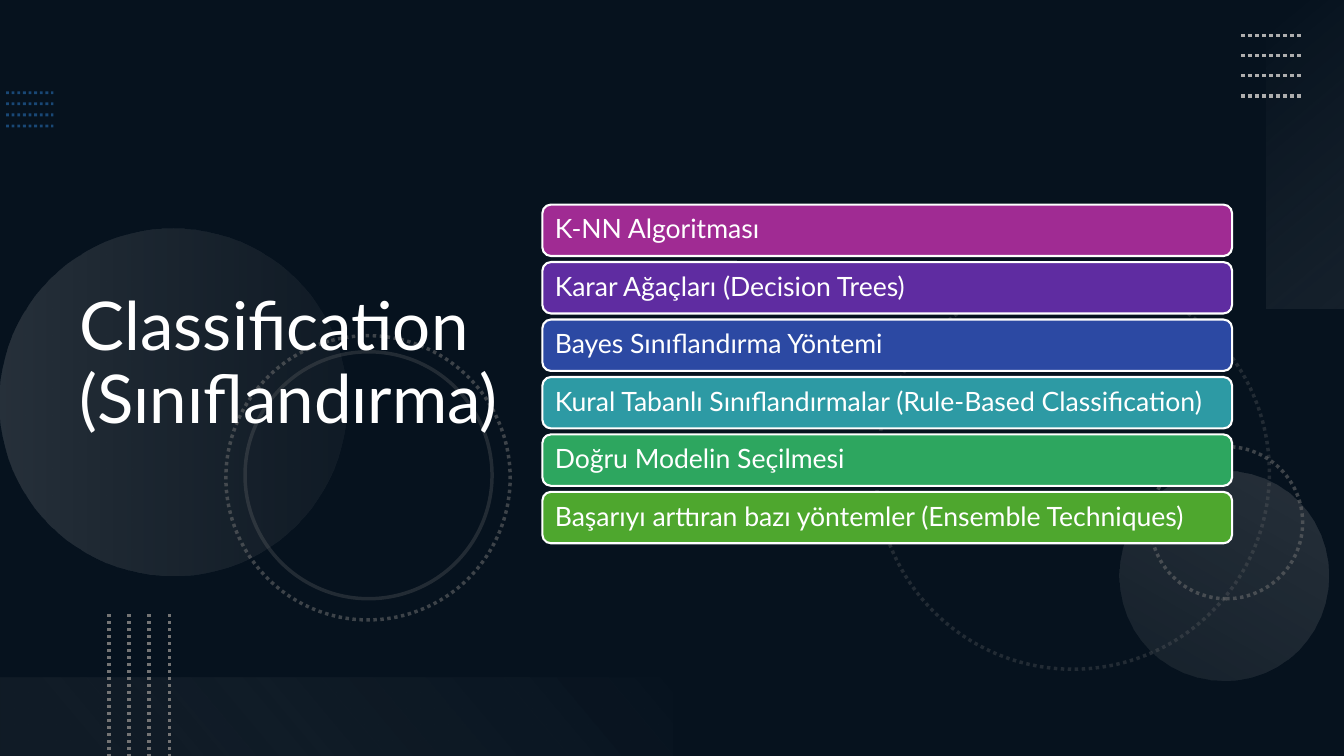
import pptx
import pptx.util
import pptx.oxml
import pptx.oxml.ns
import pptx.dml.color
import pptx.enum.dml
import pptx.enum.shapes
import pptx.enum.text
from pptx.util import Inches, Pt

# Content
TITLE = "Classification (Sınıflandırma)"
TOPICS = [
    ("K-NN Algoritması", "magenta"),
    ("Karar Ağaçları (Decision Trees)", "purple"),
    ("Bayes Sınıflandırma Yöntemi", "blue"),
    ("Kural Tabanlı Sınıflandırmalar (Rule-Based Classification)", "teal"),
    ("Doğru Modelin Seçilmesi", "green"),
    ("Başarıyı arttıran bazı yöntemler (Ensemble Techniques)", "lime"),
]
FONT = "Lato"
COLORS = {
    "navy": "0E2841", "black": "000000", "white": "FFFFFF", "dots": "2D7FCF",
    "gray": "747474", "silver": "AEAEAE", "mist": "F6F6F6", "pale": "F1F1F1",
    "magenta": "A02B93", "purple": "5F2CA1", "blue": "2C49A3",
    "teal": "2D9AA4", "green": "2DA65F", "lime": "4EA72E",
}

# Dotted line sets: first start, run, step, count, colour, width, opacity
DOT_SETS = [
    ((0.06, 0.92), (0.47, 0), (0, 0.11), 4, "dots", 2, 50),
    ((12.31, 0.35), (0.6, 0), (0, 0.2), 4, "silver", 2.5, 100),
    ((1.08, 6.09), (0, 1.41), (0.2, 0), 4, "gray", 2.5, 100),
]
# Rings: left, top, diameter, rotation, dotted, opacity
RINGS = [
    (8.69, 2.74, 3.9, 75, True, 25),
    (11.41, 4.43, 1.51, 270, True, 50),
    (2.24, 3.33, 2.82, 75, True, 50),
    (2.43, 3.49, 2.45, 75, False, 25),
]
# Gradient parts: preset, box, rotation, stops (position, colour, opacity), angle
GLOWS = [
    ("OVAL", (0, 2.27, 3.44, 3.44), 270, [(0, "silver", 20), (100, "gray", 10)], 90),
    ("OVAL", (11.1, 4.67, 2.08, 2.08), 210, [(0, "silver", 10), (100, "silver", 20)], 90),
    ("RECTANGLE", (11.42, 1.14, 3.06, 0.78), 270, [(0, "mist", 0), (100, "silver", 10)], 140),
    ("RECTANGLE", (0, 6.72, 6.67, 0.78), 180, [(10, "gray", 10), (100, "pale", 0)], 140),
]


def rgb(name):
    return pptx.dml.color.RGBColor.from_string(COLORS[name])


def set_opacity(shape, percent):
    if percent < 100:
        for clr in shape.element.spPr.iter(pptx.oxml.ns.qn("a:srgbClr")):
            alpha = clr.makeelement(pptx.oxml.ns.qn("a:alpha"), {"val": str(percent * 1000)})
            clr.append(alpha)


def add_preset(s, preset, box, rotation=0):
    kind = getattr(pptx.enum.shapes.MSO_SHAPE, preset)
    shape = s.shapes.add_shape(kind, *[Inches(v) for v in box])
    shape.shadow.inherit = False
    shape.rotation = rotation
    shape.line.fill.background()
    return shape


def style_line(line, color, width, dotted=False):
    line.color.rgb = rgb(color)
    line.width = Pt(width)
    if dotted:
        # ROUND_DOT is the sysDot dash
        line.dash_style = pptx.enum.dml.MSO_LINE.ROUND_DOT


def add_glow(s, preset, box, rotation, stops, angle):
    shape = add_preset(s, preset, box, rotation)
    shape.fill.background()
    stop_xml = "".join(
        f'<a:gs pos="{pos * 1000}"><a:srgbClr val="{COLORS[color]}">'
        f'<a:alpha val="{opacity * 1000}"/></a:srgbClr></a:gs>'
        for pos, color, opacity in stops)
    grad = pptx.oxml.parse_xml(
        f'<a:gradFill rotWithShape="1" {pptx.oxml.ns.nsdecls("a")}>'
        f'<a:gsLst>{stop_xml}</a:gsLst><a:lin ang="{angle * 60000}" scaled="0"/></a:gradFill>')
    sp_pr = shape.element.spPr
    sp_pr.replace(sp_pr.find(pptx.oxml.ns.qn("a:noFill")), grad)


def add_ring(s, left, top, size, rotation, dotted, opacity):
    ring = add_preset(s, "OVAL", (left, top, size, size), rotation)
    ring.fill.background()
    style_line(ring.line, "gray", 2.5, dotted)
    set_opacity(ring, opacity)


def add_dot_set(s, start, run, step, count, color, width, opacity):
    for i in range(count):
        x, y = start[0] + i * step[0], start[1] + i * step[1]
        row = s.shapes.add_connector(
            pptx.enum.shapes.MSO_CONNECTOR.STRAIGHT,
            Inches(x), Inches(y), Inches(x + run[0]), Inches(y + run[1]))
        style_line(row.line, color, width, True)
        set_opacity(row, opacity)
        row.element.spPr.append(
            pptx.oxml.parse_xml(f'<a:effectLst {pptx.oxml.ns.nsdecls("a")}/>'))


def set_text(shape, text, size):
    tf = shape.text_frame
    tf.text = text
    tf.word_wrap = True
    tf.auto_size = pptx.enum.text.MSO_AUTO_SIZE.NONE
    tf.vertical_anchor = pptx.enum.text.MSO_ANCHOR.MIDDLE
    p = tf.paragraphs[0]
    p.alignment = pptx.enum.text.PP_ALIGN.LEFT
    p.line_spacing = 0.9
    r = p.runs[0]
    r.font.name = FONT
    r.font.size = Pt(size)
    r.font.color.rgb = rgb("white")


def main():
    prs = pptx.Presentation()
    prs.slide_width, prs.slide_height = Inches(13.33), Inches(7.5)
    s = prs.slides.add_slide(prs.slide_layouts[5])

    # Background and dark veil
    s.background.fill.solid()
    s.background.fill.fore_color.rgb = rgb("navy")
    veil = add_preset(s, "RECTANGLE", (0, 0, 13.33, 7.5))
    veil.fill.solid()
    veil.fill.fore_color.rgb = rgb("black")
    set_opacity(veil, 53)

    # Decoration
    for glow in GLOWS:
        add_glow(s, *glow)
    for ring in RINGS:
        add_ring(s, *ring)
    for dot_set in DOT_SETS:
        add_dot_set(s, *dot_set)

    # Title, brought in front of the decoration
    title = s.shapes.title
    title.left, title.top = Inches(0.69), Inches(0.54)
    title.width, title.height = Inches(4.59), Inches(6.17)
    set_text(title, TITLE, 48)
    s.shapes.element.append(title.element)

    # Topic bars
    for i, (topic, color) in enumerate(TOPICS):
        bar = add_preset(s, "ROUNDED_RECTANGLE", (5.38, 2.03 + i * 0.57, 6.84, 0.51))
        bar.fill.solid()
        bar.fill.fore_color.rgb = rgb(color)
        style_line(bar.line, "white", 1.5)
        set_text(bar, topic, 19)

    prs.save("out.pptx")


if __name__ == "__main__":
    main()
